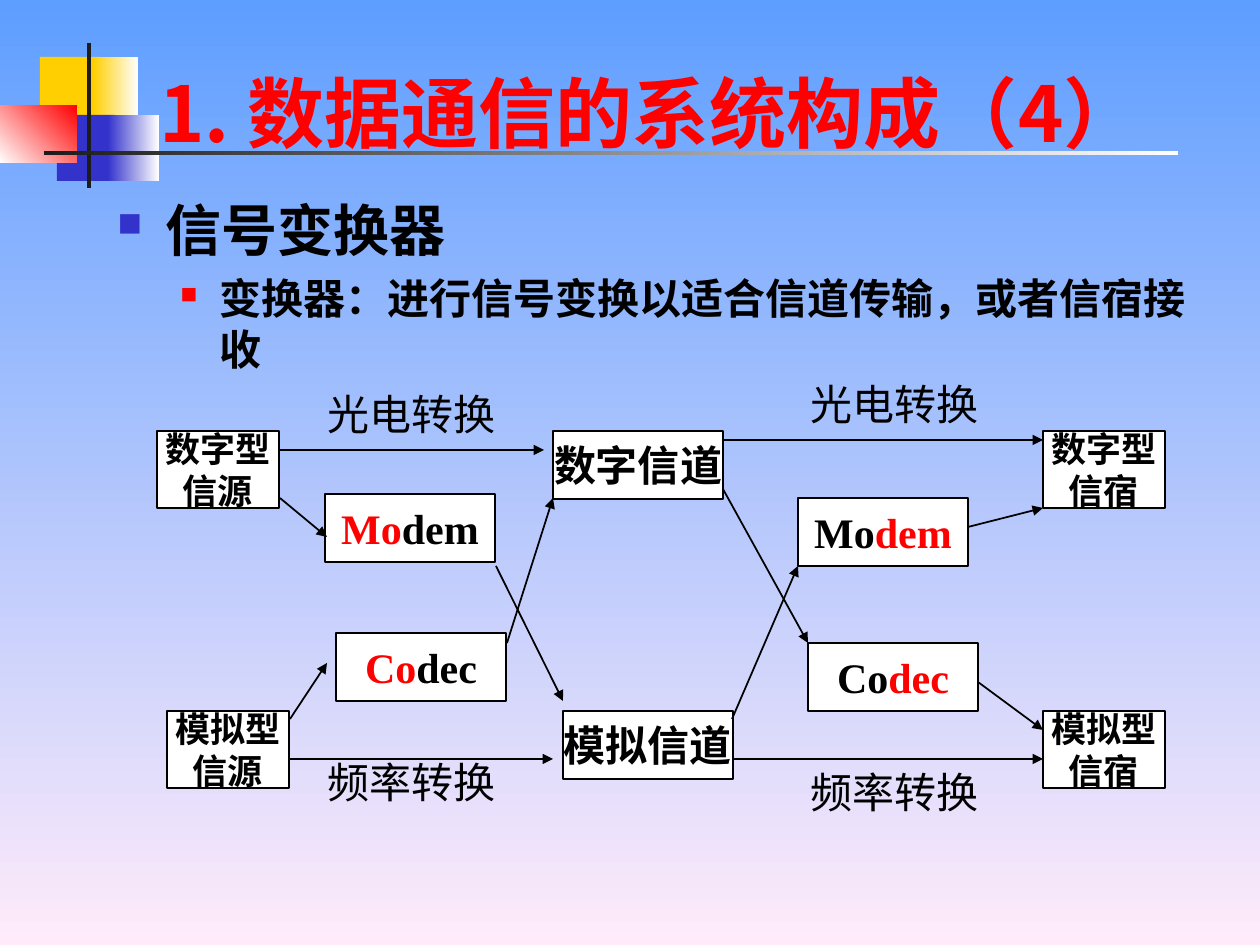
from dataclasses import dataclass

from lxml.etree import SubElement
from pptx import Presentation
from pptx.dml.color import RGBColor
from pptx.enum.shapes import MSO_CONNECTOR, MSO_SHAPE
from pptx.enum.text import MSO_ANCHOR, PP_ALIGN
from pptx.oxml.ns import qn
from pptx.util import Emu, Pt

EMU_PER_PX = 914400 / 126


@dataclass(frozen=True)
class Theme:
    black: str = "000000"
    white: str = "FFFFFF"
    red: str = "FF0000"
    blue: str = "3333CC"
    yellow: str = "FFCF01"
    charcoal: str = "1C1C1C"
    sky: str = "5E9EFF"
    blush: str = "FFEBFA"
    title_size: int = 44
    heading_size: int = 32
    normal_size: int = 24
    small_size: int = 20
    title_font: str = "Noto Sans CJK SC"
    body_font: str = "Lato"
    box_font: str = "Times New Roman"


def px(value):
    return Emu(round(value * EMU_PER_PX))


def write_paragraph(paragraph, *pieces, size, font, bold=False, align=None,
                    before=0, spacing=None, bullet=None):
    """Fill a paragraph with (text, colour) pieces; bullet is (colour, percent, left, hanging)."""
    if bullet:
        colour, percent, left, hanging = bullet
        properties = paragraph._p.get_or_add_pPr()
        properties.set("marL", str(px(left)))
        properties.set("indent", str(-px(hanging)))
        bullet_colour = SubElement(properties, qn("a:buClr"))
        SubElement(bullet_colour, qn("a:srgbClr"), val=colour)
        SubElement(properties, qn("a:buSzPct"), val=str(percent * 1000))
        SubElement(properties, qn("a:buChar"), char="■")
    if align is not None:
        paragraph.alignment = align
    if before:
        paragraph.space_before = Pt(before)
    if spacing:
        paragraph.line_spacing = spacing
    for text, colour in pieces:
        run = paragraph.add_run()
        run.text = text
        run.font.size = Pt(size)
        run.font.bold = bold
        run.font.name = font
        run.font.color.rgb = RGBColor.from_string(colour)
        SubElement(run._r.get_or_add_rPr(), qn("a:ea"), typeface=Theme.body_font)


class SlideBuilder:
    def __init__(self, slide, theme):
        self.slide = slide
        self.theme = theme

    def gradient(self, fill, start, end, angle):
        fill.gradient()
        fill.gradient_angle = (360 - angle) % 360
        for stop, colour in zip(fill.gradient_stops, (start, end)):
            stop.color.rgb = RGBColor.from_string(colour)

    def rectangle(self, left, top, width, height, start, end=None, angle=0):
        shape = self.slide.shapes.add_shape(
            MSO_SHAPE.RECTANGLE, px(left), px(top), px(width), px(height))
        shape.shadow.inherit = False
        shape.line.fill.background()
        if end:
            self.gradient(shape.fill, start, end, angle)
        else:
            shape.fill.solid()
            shape.fill.fore_color.rgb = RGBColor.from_string(start)
        return shape

    def node(self, left, top, width, height, lines, size):
        shape = self.rectangle(left, top, width, height, self.theme.white)
        shape.line.color.rgb = RGBColor.from_string(self.theme.black)
        shape.line.width = Pt(1)
        frame = shape.text_frame
        frame.word_wrap = False
        frame.vertical_anchor = MSO_ANCHOR.MIDDLE
        for index, pieces in enumerate(lines):
            paragraph = frame.add_paragraph() if index else frame.paragraphs[0]
            write_paragraph(paragraph, *pieces, size=size, font=self.theme.box_font,
                            bold=True, align=PP_ALIGN.CENTER)

    def text_box(self, left, top, width, height):
        box = self.slide.shapes.add_textbox(px(left), px(top), px(width), px(height))
        box.text_frame.word_wrap = True
        return box.text_frame

    def arrow(self, x1, y1, x2, y2):
        connector = self.slide.shapes.add_connector(
            MSO_CONNECTOR.STRAIGHT, px(x1), px(y1), px(x2), px(y2))
        connector.line.color.rgb = RGBColor.from_string(self.theme.black)
        connector.line.width = Pt(1)
        SubElement(connector.line._get_or_add_ln(), qn("a:tailEnd"), type="triangle")
        SubElement(connector._element.spPr, qn("a:effectLst"))


def main():
    theme = Theme()
    presentation = Presentation()
    presentation.slide_width, presentation.slide_height = px(1260), px(945)
    slide = presentation.slides.add_slide(presentation.slide_layouts[6])
    builder = SlideBuilder(slide, theme)

    # Background and corner ornament
    builder.gradient(slide.background.fill, theme.sky, theme.blush, 90)
    builder.rectangle(40, 57, 60, 66, theme.yellow)
    builder.rectangle(93, 57, 45, 66, theme.yellow, theme.white)
    builder.rectangle(57, 115, 58, 66, theme.blue)
    builder.rectangle(108, 115, 51, 66, theme.blue, theme.white)
    builder.rectangle(0, 105, 77, 58, theme.white, theme.red, 315)
    builder.rectangle(87, 43, 4, 145, theme.charcoal)
    builder.rectangle(44, 151, 1134, 4, theme.charcoal, theme.white)

    # Title
    title = builder.text_box(147, 32, 1074, 126)
    title.vertical_anchor = MSO_ANCHOR.BOTTOM
    title.margin_bottom = 0
    write_paragraph(title.paragraphs[0], ("1. 数据通信的系统构成（4）", theme.red),
                    size=theme.title_size, font=theme.title_font, bold=True)

    # Bulleted text
    body = builder.text_box(105, 189, 1108, 210)
    write_paragraph(body.paragraphs[0], ("信号变换器", theme.black),
                    size=theme.heading_size, font=theme.body_font, bold=True,
                    bullet=(theme.blue, 60, 48, 48))
    write_paragraph(body.add_paragraph(),
                    ("变换器：进行信号变换以适合信道传输，或者信宿接收", theme.black),
                    size=theme.normal_size, font=theme.title_font, bold=True, before=6,
                    bullet=(theme.red, 55, 102, 39))

    # Sources and sinks
    for left, top, kind, role in (
            (157, 431, "数字型", "信源"), (167, 711, "模拟型", "信源"),
            (1043, 431, "数字型", "信宿"), (1043, 711, "模拟型", "信宿")):
        lines = [[(kind, theme.black)], [(role, theme.black)]]
        builder.node(left, top, 122, 77, lines, theme.small_size)

    # Converters and channels
    for left, top, *pieces in (
            (325, 494, ("Mo", theme.red), ("dem", theme.black)),
            (336, 633, ("Co", theme.red), ("dec", theme.black)),
            (553, 431, ("数字信道", theme.black)),
            (563, 711, ("模拟信道", theme.black)),
            (798, 498, ("Mo", theme.black), ("dem", theme.red)),
            (808, 643, ("Co", theme.black), ("dec", theme.red))):
        builder.node(left, top, 170, 68, [pieces], theme.normal_size)

    # Signal flow
    for ends in (
            (290, 719, 327, 663), (507, 643, 553, 498),
            (723, 489, 808, 643), (978, 682, 1043, 730),
            (280, 450, 544, 450), (723, 440, 1043, 440),
            (280, 498, 327, 537), (496, 566, 563, 701),
            (732, 719, 798, 566), (968, 527, 1043, 508),
            (290, 759, 553, 759), (732, 759, 1043, 759)):
        builder.arrow(*ends)

    # Conversion labels
    for left, top, text in (
            (315, 388, "光电转换"), (798, 378, "光电转换"),
            (315, 756, "频率转换"), (798, 766, "频率转换")):
        label = builder.text_box(left, top, 210, 58)
        write_paragraph(label.paragraphs[0], (text, theme.black),
                        size=theme.normal_size, font=theme.body_font, spacing=0.9)

    presentation.save("out.pptx")


if __name__ == "__main__":
    main()
